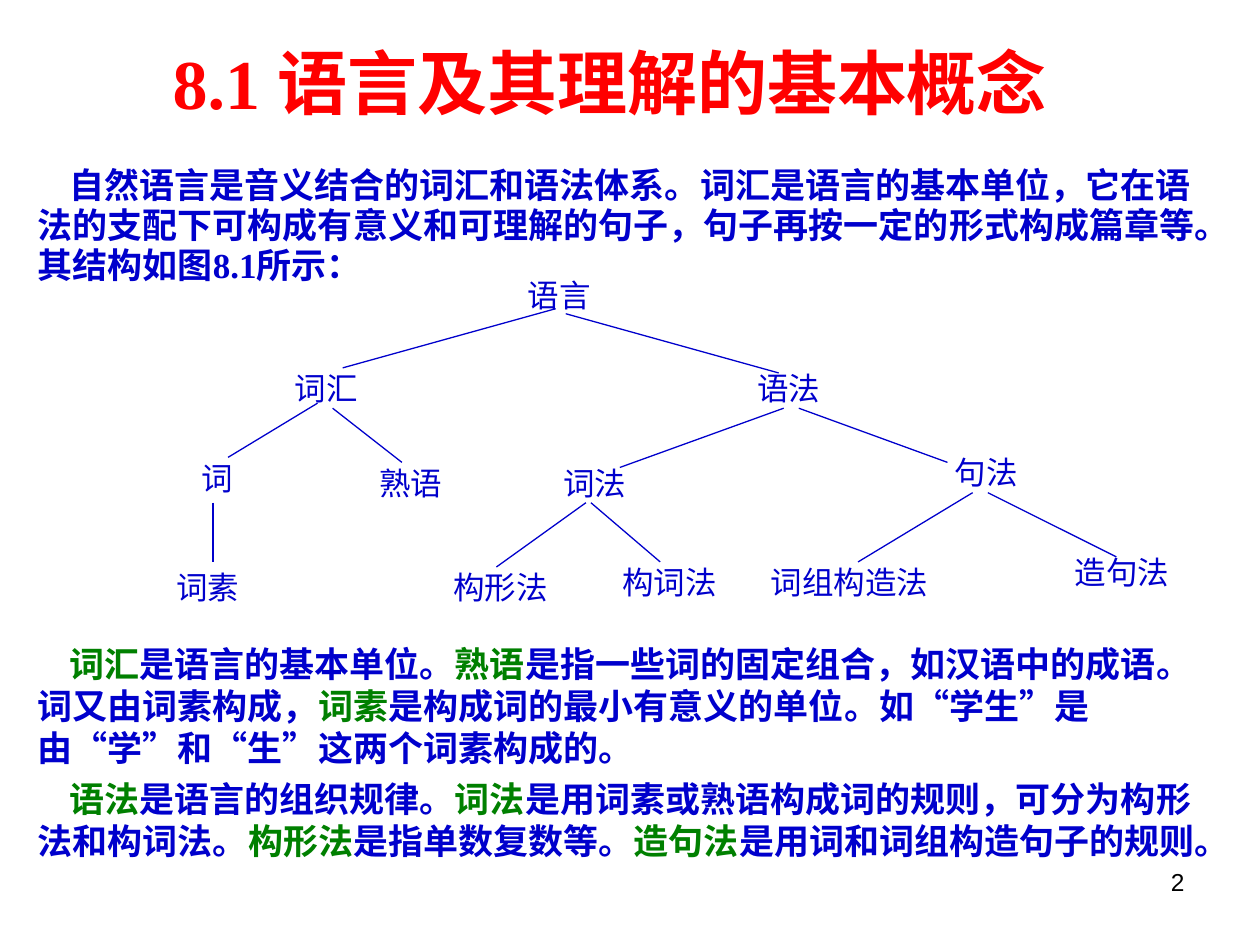
from lxml import etree
from pptx import Presentation
from pptx.dml.color import RGBColor
from pptx.enum.shapes import MSO_CONNECTOR as CONN
from pptx.enum.text import MSO_ANCHOR as ANCHOR, MSO_AUTO_SIZE as AUTO, PP_ALIGN as ALIGN
from pptx.oxml.ns import qn
from pptx.util import Pt

PX = 9144  # 100 px to the inch
COLORS = {"title": "FF0000", "body": "0000CC", "term": "008000", "number": "000000"}
SERIF, SANS = "Times New Roman", "Arial"

INTRO = [[("自然语言是音义结合的词汇和语法体系。词汇是语言的基本单位，它在语法的支配下可构成"
           "有意义和可理解的句子，句子再按一定的形式构成篇章等。其结构如图8.1所示：", "body")]]
NOTES = [
    [("词汇", "term"), ("是语言的基本单位。", "body"), ("熟语", "term"),
     ("是指一些词的固定组合，如汉语中的成语。词又由词素构成，", "body"), ("词素", "term"),
     ("是构成词的最小有意义的单位。如“学生”是由“学”和“生”这两个词素构成的。", "body")],
    [("语法", "term"), ("是语言的组织规律。", "body"), ("词法", "term"),
     ("是用词素或熟语构成词的规则，可分为构形法和构词法。", "body"), ("构形法", "term"),
     ("是指单数复数等。", "body"), ("造句法", "term"),
     ("是用词和词组构造句子的规则。", "body")],
]

# Tree labels: text, left, top within the tree box
NODES = [
    ("语言", 279, 0),
    ("词汇", 94, 74), ("语法", 461, 74),
    ("词", 20, 145), ("熟语", 161, 149), ("词法", 307, 149), ("句法", 618, 141),
    ("词素", 0, 232), ("构形法", 220, 232), ("构词法", 354, 228),
    ("词组构造法", 472, 228), ("造句法", 713, 220),
]
# Tree branches: x1, y1, x2, y2 within the tree box
BRANCHES = [
    (311, 31, 142, 78), (319, 35, 488, 82),
    (122, 106, 51, 149), (134, 110, 189, 153),
    (492, 110, 362, 157), (504, 110, 622, 153),
    (39, 185, 39, 232), (335, 185, 264, 236), (339, 185, 394, 232),
    (642, 177, 551, 232), (654, 177, 756, 228),
]


def rgb(name):
    return RGBColor.from_string(COLORS[name])


def style(p, size, name, color, bold=False):
    p.font.size, p.font.name, p.font.bold = Pt(size), name, bold
    p.font.color.rgb = rgb(color)


def add_text(slide, box, text=""):
    tf = slide.shapes.add_textbox(*(v * PX for v in box)).text_frame
    tf.word_wrap = True
    tf.paragraphs[0].text = text
    return tf


def add_title(slide, box, text):
    sp = slide.shapes.title
    sp.left, sp.top, sp.width, sp.height = (v * PX for v in box)
    tf = sp.text_frame
    tf.text = text
    tf.word_wrap, tf.auto_size = True, AUTO.NONE
    tf.vertical_anchor = ANCHOR.MIDDLE
    p = tf.paragraphs[0]
    p.alignment = ALIGN.CENTER
    style(p, 40, SERIF, "title", True)


def add_body(slide, box, paragraphs, line_spacing=1.0):
    tf = add_text(slide, box)
    for i, parts in enumerate(paragraphs):
        p = tf.add_paragraph() if i else tf.paragraphs[0]
        p.line_spacing = line_spacing
        p.space_before = Pt(5 if i else 0)
        p._p.get_or_add_pPr().set("indent", str(25 * PX))
        style(p, 20, SERIF, "body", True)
        for text, color in parts:
            r = p.add_run()
            r.text = text
            r.font.color.rgb = rgb(color)


def add_tree(slide, box):
    left, top = box
    for x1, y1, x2, y2 in BRANCHES:
        line = slide.shapes.add_connector(
            CONN.STRAIGHT, (left + x1) * PX, (top + y1) * PX,
            (left + x2) * PX, (top + y2) * PX)
        line.line.color.rgb = rgb("body")
        line.line.width = Pt(0.75)
        etree.SubElement(line._element.spPr, qn("a:effectLst"))
    for text, x, y in NODES:
        width = 25 * len(text) + 25
        tf = add_text(slide, (left + x, top + y, width, 40), text)
        style(tf.paragraphs[0], 18, SANS, "body")


def add_page_number(slide, box, number):
    p = add_text(slide, box, number).paragraphs[0]
    p.alignment = ALIGN.RIGHT
    style(p, 14, SANS, "number")


def main():
    prs = Presentation()
    prs.slide_width, prs.slide_height = 1000 * PX, 750 * PX
    slide = prs.slides.add_slide(prs.slide_layouts[5])
    add_title(slide, (110, 26, 748, 77), "8.1 语言及其理解的基本概念")
    add_body(slide, (20, 127, 957, 105), INTRO, 0.95)
    add_tree(slide, (130, 214))
    add_body(slide, (20, 505, 961, 217), NOTES)
    add_page_number(slide, (717, 683, 233, 52), "2")
    prs.save("out.pptx")


if __name__ == "__main__":
    main()
